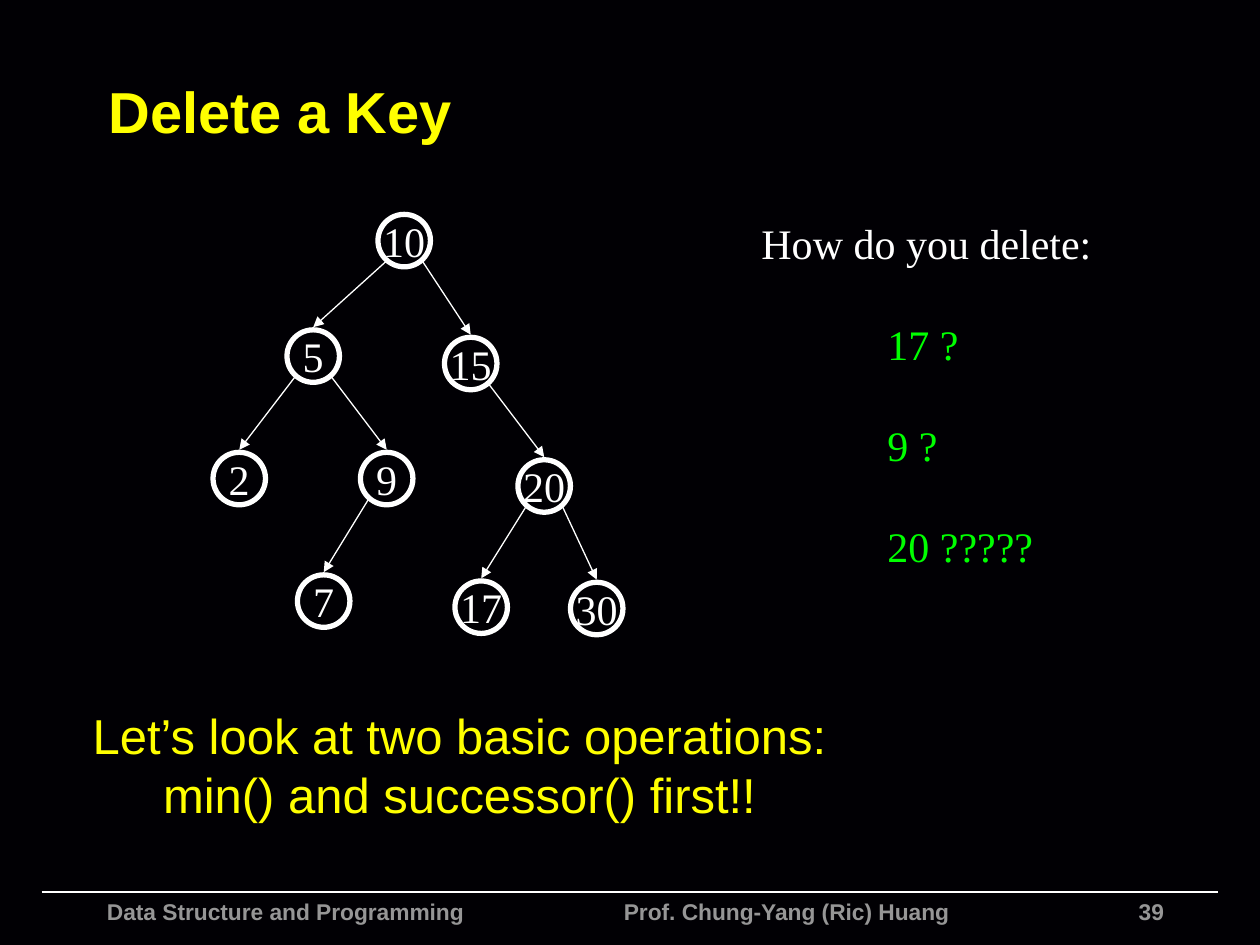
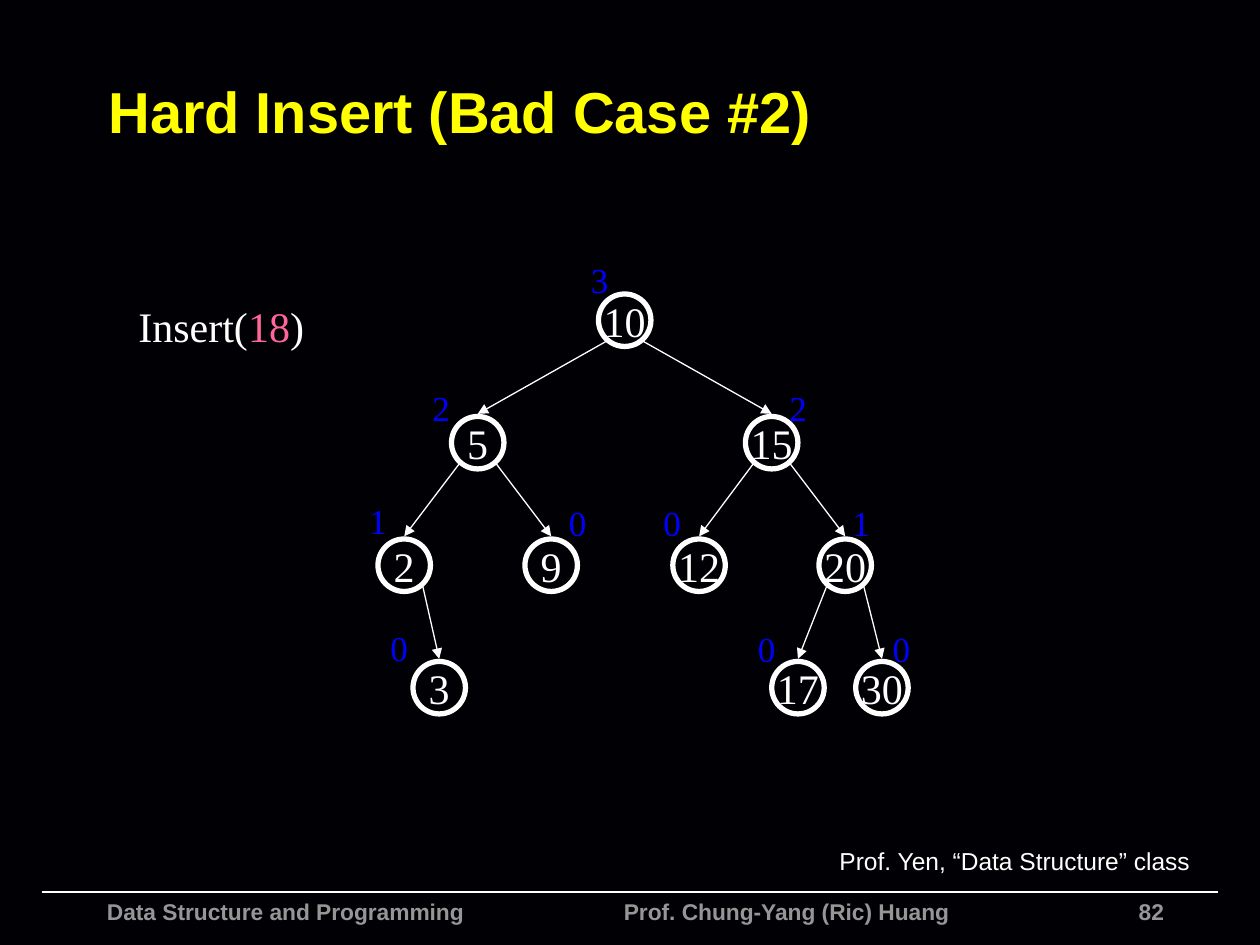
"""Build two slides about binary search trees: deleting a key and a hard insert."""
from dataclasses import dataclass
from math import sqrt
from typing import Optional

from lxml.etree import SubElement
from pptx import Presentation
from pptx.dml.color import RGBColor
from pptx.enum.shapes import MSO_CONNECTOR, MSO_SHAPE
from pptx.enum.text import MSO_ANCHOR, MSO_AUTO_SIZE, PP_ALIGN
from pptx.oxml.ns import qn
from pptx.slide import Slide
from pptx.text.text import TextFrame
from pptx.util import Pt

NIGHT = RGBColor(0x01, 0x00, 0x04)
WHITE = RGBColor(0xFF, 0xFF, 0xFF)
YELLOW = RGBColor(0xFF, 0xFF, 0x00)
GREEN = RGBColor(0x00, 0xFF, 0x00)
BLUE = RGBColor(0x00, 0x00, 0xFF)
PINK = RGBColor(0xFF, 0x66, 0x99)
GREY = RGBColor(0x96, 0x96, 0x96)

SANS, SERIF = "Arial", "Times New Roman"
LEADING = 1.2
NODE_SIZE = 30
NODE_LINE = 3

WIDE_INSETS = {"margin_left": Pt(7.2), "margin_right": Pt(7.2),
               "margin_top": Pt(3.6), "margin_bottom": Pt(3.6)}
NARROW_INSETS = dict.fromkeys(WIDE_INSETS, Pt(3.6))
NO_INSETS = dict.fromkeys(WIDE_INSETS, 0)
GROWING = {"word_wrap": False, "auto_size": MSO_AUTO_SIZE.SHAPE_TO_FIT_TEXT}
FIXED = {"word_wrap": True, "auto_size": MSO_AUTO_SIZE.NONE}


@dataclass(frozen=True)
class Style:
    """Look of a run of text."""

    size: float
    font: str = SERIF
    color: RGBColor = WHITE
    bold: bool = False


@dataclass(frozen=True)
class Line:
    """One paragraph: its (text, colour) phrases, space before, indent and tab stop."""

    phrases: tuple[tuple[str, Optional[RGBColor]], ...]
    before: float = 0
    indent: float = 0
    tab: float = 0


@dataclass(frozen=True)
class Box:
    """Place of a text box in points."""

    left: float
    top: float
    width: float
    height: float


@dataclass(frozen=True)
class Node:
    """Tree node with its place, its parent's key and the place of its height label."""

    key: int
    left: float
    top: float
    parent: Optional[int] = None
    height: Optional[int] = None
    label_left: float = 0
    label_top: float = 0


TITLE = Style(33, SANS, YELLOW, True)
FOOTER = Style(13, SANS, GREY, True)
OPERATIONS = Style(28, SANS, YELLOW)
CREDIT = Style(14, SANS)
BODY = Style(24)
HEIGHT = Style(20, color=BLUE)

DELETE_TREE = (
    Node(10, 216, 122.5),
    Node(5, 164, 188.5, 10),
    Node(15, 254, 192.75, 10),
    Node(2, 121.75, 258.5, 5),
    Node(9, 206, 258.5, 5),
    Node(20, 296, 262.75, 15),
    Node(7, 170, 328.5, 9),
    Node(17, 260, 332, 20),
    Node(30, 326, 332.75, 20),
)
INSERT_TREE = (
    Node(10, 342, 168, None, 3, 330.5, 144),
    Node(5, 258, 238, 10, 2, 240, 217.5),
    Node(15, 426, 238, 10, 2, 444, 217.5),
    Node(2, 216, 308, 5, 1, 204, 282),
    Node(9, 300, 308, 5, 0, 318, 283),
    Node(12, 384.5, 308, 15, 0, 372, 283),
    Node(20, 468, 308, 15, 1, 480, 283),
    Node(3, 236, 378, 2, 0, 216, 354.5),
    Node(17, 441, 378, 20, 0, 426, 355),
    Node(30, 489, 378, 20, 0, 503, 355),
)


def apply(target: object, values: dict) -> None:
    """Set each named attribute on the target."""
    for name, value in values.items():
        setattr(target, name, value)


def plain(text: str, **spacing: float) -> Line:
    """Make a line of one phrase in the style's own colour."""
    return Line(((text, None),), **spacing)


def write(frame: TextFrame, lines: list[Line], style: Style, align: PP_ALIGN,
          values: dict) -> None:
    """Fill a text frame with styled lines."""
    apply(frame, values)
    for index, line in enumerate(lines):
        paragraph = frame.add_paragraph() if index else frame.paragraphs[0]
        apply(paragraph, {"alignment": align, "space_before": Pt(line.before),
                          "line_spacing": Pt(style.size * LEADING)})
        properties = paragraph._p.get_or_add_pPr()
        if line.indent:
            properties.set("marL", str(Pt(line.indent)))
        if line.tab:
            stops = SubElement(properties, qn("a:tabLst"))
            SubElement(stops, qn("a:tab"), pos=str(Pt(line.tab)), algn="l")
        for text, color in line.phrases:
            run = paragraph.add_run()
            run.text = text
            apply(run.font, {"name": style.font, "size": Pt(style.size),
                             "bold": style.bold})
            run.font.color.rgb = color or style.color


def add_text(slide: Slide, box: Box, lines: list[Line], style: Style,
             align: PP_ALIGN = PP_ALIGN.LEFT, insets: dict = WIDE_INSETS,
             fit: dict = GROWING) -> None:
    """Add a text box."""
    textbox = slide.shapes.add_textbox(
        Pt(box.left), Pt(box.top), Pt(box.width), Pt(box.height))
    write(textbox.text_frame, lines, style, align,
          insets | fit | {"vertical_anchor": MSO_ANCHOR.TOP})


def add_line(slide: Slide, start: tuple[float, float], end: tuple[float, float],
             width: float, arrow: bool = False) -> None:
    """Add a white straight line, with an arrowhead at its end if asked."""
    connector = slide.shapes.add_connector(
        MSO_CONNECTOR.STRAIGHT, *(Pt(value) for value in start + end))
    connector.line.color.rgb = WHITE
    connector.line.width = Pt(width)
    properties = connector.element.spPr
    if arrow:
        SubElement(properties.find(qn("a:ln")), qn("a:tailEnd"), type="triangle")
    SubElement(properties, qn("a:effectLst"))


def add_node(slide: Slide, node: Node) -> None:
    """Draw a node's circle and key."""
    circle = slide.shapes.add_shape(
        MSO_SHAPE.OVAL, Pt(node.left), Pt(node.top), Pt(NODE_SIZE), Pt(NODE_SIZE))
    circle.shadow.inherit = False
    circle.fill.background()
    circle.line.color.rgb = WHITE
    circle.line.width = Pt(NODE_LINE)
    write(circle.text_frame, [plain(str(node.key))], BODY, PP_ALIGN.CENTER,
          NO_INSETS | {"word_wrap": False, "vertical_anchor": MSO_ANCHOR.MIDDLE})


def add_edge(slide: Slide, parent: Node, child: Node) -> None:
    """Draw an arrow from the parent's lower corner to the child's top."""
    radius = NODE_SIZE / 2
    corner = radius / sqrt(2)
    side = -corner if child.left < parent.left else corner
    start = (parent.left + radius + side,
             parent.top + radius + corner + NODE_LINE / 2)
    end = (child.left + radius, child.top - NODE_LINE / 2)
    add_line(slide, start, end, 0.75, arrow=True)


def add_tree(slide: Slide, tree: tuple[Node, ...]) -> None:
    """Draw nodes, edges and height labels."""
    by_key = {node.key: node for node in tree}
    for node in tree:
        add_node(slide, node)
        if node.parent is not None:
            add_edge(slide, by_key[node.parent], node)
    for node in tree:
        if node.height is not None:
            add_text(slide, Box(node.label_left, node.label_top, 24.4, 31.2),
                     [plain(str(node.height))], HEIGHT)


def add_slide(prs: Presentation, title: str, number: int) -> Slide:
    """Add a slide with the shared title, rule and footer."""
    slide = prs.slides.add_slide(prs.slide_layouts[5])
    heading = slide.shapes.title
    apply(heading, {"left": Pt(54.75), "top": Pt(26.75),
                    "width": Pt(636.5), "height": Pt(72.75)})
    write(heading.text_frame, [plain(title)], TITLE, PP_ALIGN.LEFT,
          WIDE_INSETS | FIXED | {"vertical_anchor": MSO_ANCHOR.MIDDLE})
    add_line(slide, (23.75, 509.75), (696.25, 509.75), 1)
    add_text(slide, Box(444, 509.75, 228.25, 13), [plain(str(number))],
             FOOTER, PP_ALIGN.RIGHT, fit=FIXED)
    add_text(slide, Box(54, 509.75, 521.25, 30.25),
             [plain("Data Structure and Programming\tProf. Chung-Yang (Ric) Huang",
                    tab=295.4)], FOOTER, fit=FIXED)
    return slide


def add_delete_slide(prs: Presentation) -> None:
    """Build the slide that asks how to delete keys."""
    slide = add_slide(prs, "Delete a Key", 39)
    add_tree(slide, DELETE_TREE)
    questions = [Line(((text, GREEN),), before=BODY.size * LEADING, indent=72)
                 for text in ("17 ?", "9 ?", "20 ?????")]
    add_text(slide, Box(428, 121, 203, 208.8),
             [plain("How do you delete:"), *questions], BODY)
    add_text(slide, Box(48.25, 399.75, 428.5, 74.4),
             [plain("Let’s look at two basic operations:"),
              plain("min() and successor() first!!")],
             OPERATIONS, PP_ALIGN.CENTER, NARROW_INSETS)


def add_insert_slide(prs: Presentation) -> None:
    """Build the slide that inserts a key in a bad case."""
    slide = add_slide(prs, "Hard Insert (Bad Case #2)", 82)
    add_text(slide, Box(72, 168, 109.5, 36),
             [Line((("Insert(", None), ("18", PINK), (")", None)))], BODY)
    add_tree(slide, INSERT_TREE)
    add_text(slide, Box(476, 479.75, 208, 24),
             [plain("Prof. Yen, “Data Structure” class")],
             CREDIT, PP_ALIGN.CENTER, NARROW_INSETS)


def main() -> None:
    """Build and save the presentation."""
    prs = Presentation()
    apply(prs, {"slide_width": Pt(720), "slide_height": Pt(540)})
    backdrop = prs.slide_master.background.fill
    backdrop.solid()
    backdrop.fore_color.rgb = NIGHT
    add_delete_slide(prs)
    add_insert_slide(prs)
    prs.save("out.pptx")


if __name__ == "__main__":
    main()
